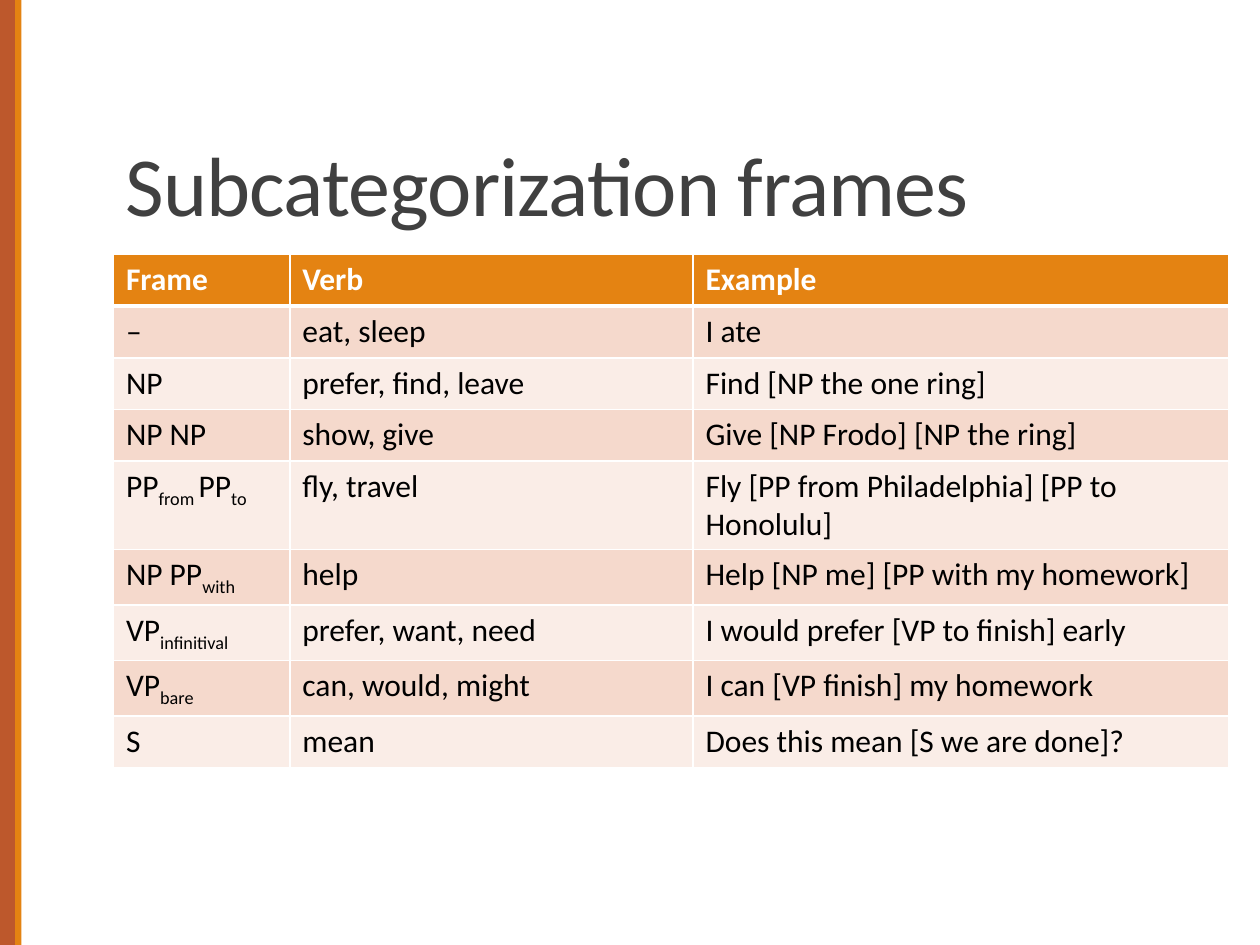
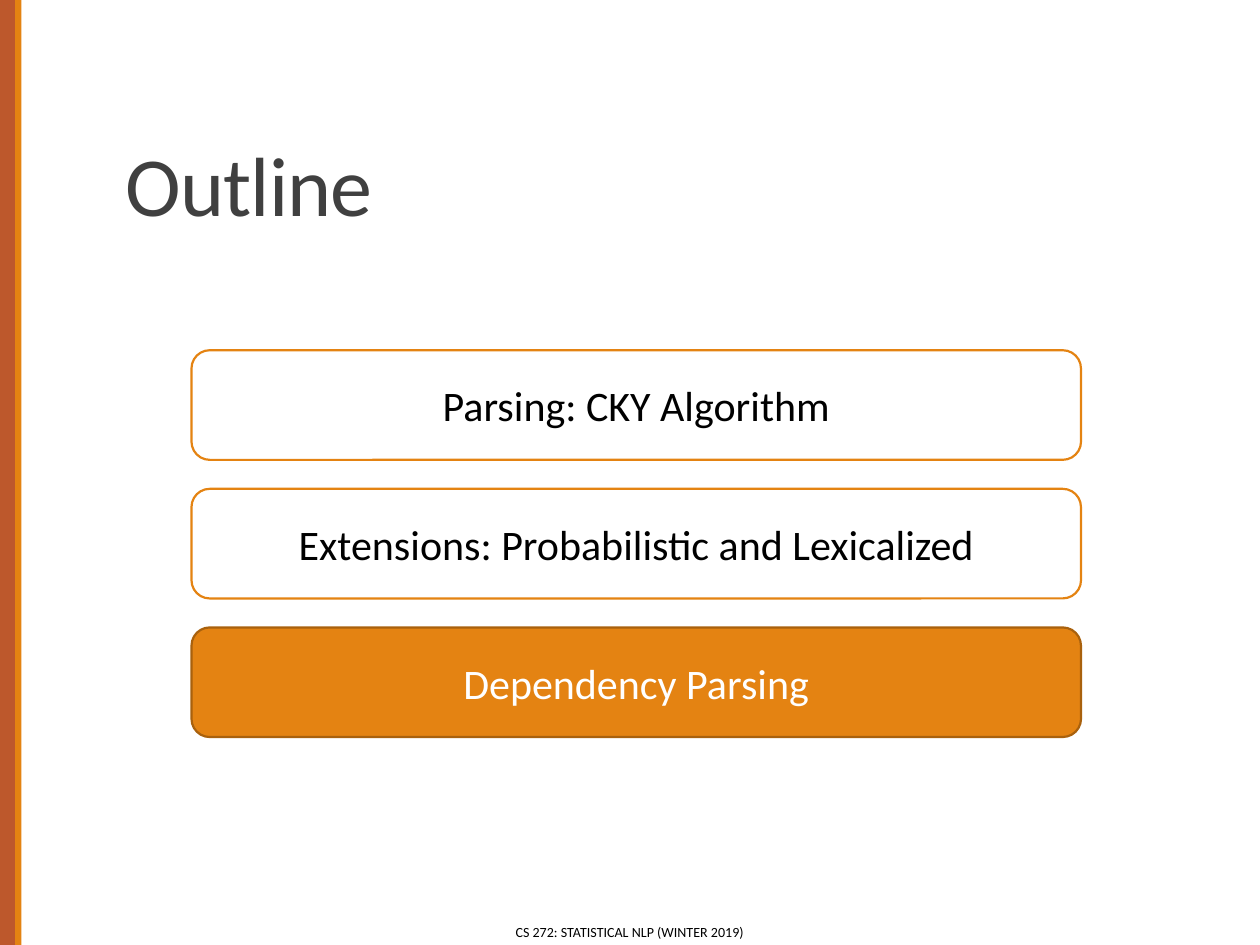
from lxml import etree
from pptx import Presentation
from pptx.dml.color import RGBColor
from pptx.enum.shapes import MSO_SHAPE as Shape
from pptx.enum.text import MSO_ANCHOR as Anchor, PP_ALIGN as Align
from pptx.oxml.ns import qn
from pptx.util import Inches, Pt

COLORS = {
    "rust": "BD582C", "orange": "E48312", "dark_orange": "A9610D",
    "title": "404040", "black": "000000", "white": "FFFFFF",
    "band_dark": "F5D9CC", "band_light": "FAEDE7",
}
TITLE = {"size": Pt(48), "color": "title"}
FOOTER = {"size": Pt(8), "color": "black"}
HEADER = {"size": Pt(18), "color": "white", "bold": True}
BODY = {"size": Pt(18), "color": "black", "bold": False}
TOPIC = {"size": Pt(24), "color": "black"}
CURRENT_TOPIC = {**TOPIC, "color": "white"}

# An underscore switches subscript on and off
FRAMES = [
    ("Frame", "Verb", "Example"),
    ("–", "eat, sleep", "I ate"),
    ("NP", "prefer, find, leave", "Find [NP the one ring]"),
    ("NP NP", "show, give", "Give [NP Frodo] [NP the ring]"),
    ("PP_from _PP_to", "fly, travel", "Fly [PP from Philadelphia] [PP to Honolulu]"),
    ("NP PP_with", "help", "Help [NP me] [PP with my homework]"),
    ("VP_infinitival", "prefer, want, need", "I would prefer [VP to finish] early"),
    ("VP_bare", "can, would, might", "I can [VP finish] my homework"),
    ("S", "mean", "Does this mean [S we are done]?"),
]
TOPICS = ["Parsing: CKY Algorithm", "Extensions: Probabilistic and Lexicalized",
          "Dependency Parsing"]


def rgb(name):
    return RGBColor.from_string(COLORS[name])


def paint(target, name):
    target.fill.solid()
    target.fill.fore_color.rgb = rgb(name)


def add_run(paragraph, text, style):
    run = paragraph.add_run()
    run.text = text
    run.font.name = "Calibri"
    for key, value in style.items():
        if key == "color":
            run.font.color.rgb = rgb(value)
        else:
            setattr(run.font, key, value)
    return run


def add_block(slide, kind, box, fill, line=None):
    block = slide.shapes.add_shape(kind, *map(Inches, box))
    block.shadow.inherit = False
    paint(block, fill)
    if line:
        block.line.color.rgb = rgb(line)
        block.line.width = Pt(1.25)
    else:
        block.line.fill.background()
    return block


def add_text(slide, box, text, style, anchor, align=Align.LEFT):
    frame = slide.shapes.add_textbox(*map(Inches, box)).text_frame
    frame.word_wrap = True
    frame.vertical_anchor = anchor
    paragraph = frame.paragraphs[0]
    paragraph.alignment = align
    return frame, paragraph, add_run(paragraph, text, style)


def start_slide(deck, title):
    slide = deck.slides.add_slide(deck.slide_layouts[6])
    # Side bands
    add_block(slide, Shape.RECTANGLE, (0, 0, 0.12, 7.5), "rust")
    add_block(slide, Shape.RECTANGLE, (0.12, 0, 0.05, 7.5), "orange")
    # Title
    _, paragraph, run = add_text(slide, (0.9, 0.31, 8.25, 1.59), title, TITLE,
                                 Anchor.BOTTOM)
    paragraph.line_spacing = 0.85
    run.font._element.set("spc", "-50")
    return slide


def add_footer(slide, box):
    frame, _, _ = add_text(slide, box, "CS 272: STATISTICAL NLP (WINTER 2019)",
                           FOOTER, Anchor.MIDDLE, Align.CENTER)
    for side in ("left", "right", "top", "bottom"):
        setattr(frame, f"margin_{side}", 0)


def add_borders(cell, top=1, bottom=1):
    properties = cell._tc.get_or_add_tcPr()
    for side, width in (("L", 1), ("R", 1), ("T", top), ("B", bottom)):
        line = etree.SubElement(properties, qn(f"a:ln{side}"), w=str(Pt(width)))
        fill = etree.SubElement(line, qn("a:solidFill"))
        etree.SubElement(fill, qn("a:srgbClr"), val=COLORS["white"])


def add_frame_table(slide, left, top, widths, row_height):
    table = slide.shapes.add_table(
        len(FRAMES), len(widths), Inches(left), Inches(top),
        Inches(sum(widths)), Inches(row_height * len(FRAMES))).table
    for column, width in zip(table.columns, widths):
        column.width = Inches(width)
    for r, texts in enumerate(FRAMES):
        table.rows[r].height = Inches(row_height)
        band = "orange" if r == 0 else ("band_light", "band_dark")[r % 2]
        for c, text in enumerate(texts):
            cell = table.cell(r, c)
            # The rule below the header is heavier
            add_borders(cell, top=3 if r == 1 else 1, bottom=3 if r == 0 else 1)
            paint(cell, band)
            for i, part in enumerate(text.split("_")):
                run = add_run(cell.text_frame.paragraphs[0], part,
                              BODY if r else HEADER)
                if i % 2:
                    run.font._element.set("baseline", "-25000")


def add_topics(slide, left, top, width, height, gap, current):
    for i, topic in enumerate(TOPICS):
        active = i == current
        box = (left, top + i * (height + gap), width, height)
        block = add_block(slide, Shape.ROUNDED_RECTANGLE, box,
                          "orange" if active else "white",
                          "dark_orange" if active else "orange")
        frame = block.text_frame
        frame.word_wrap = True
        frame.vertical_anchor = Anchor.MIDDLE
        frame.paragraphs[0].alignment = Align.CENTER
        add_run(frame.paragraphs[0], topic, CURRENT_TOPIC if active else TOPIC)


def main():
    deck = Presentation()
    deck.slide_width, deck.slide_height = Inches(10), Inches(7.5)

    frames = start_slide(deck, "Subcategorization frames")
    add_frame_table(frames, 0.9, 2.02, (1.4, 3.2, 4.25), 0.41)

    outline = start_slide(deck, "Outline")
    add_footer(outline, (3.02, 7.33, 3.96, 0.13))
    add_topics(outline, 1.52, 2.78, 7.06, 0.87, gap=0.23, current=2)

    deck.save("out.pptx")


if __name__ == "__main__":
    main()
